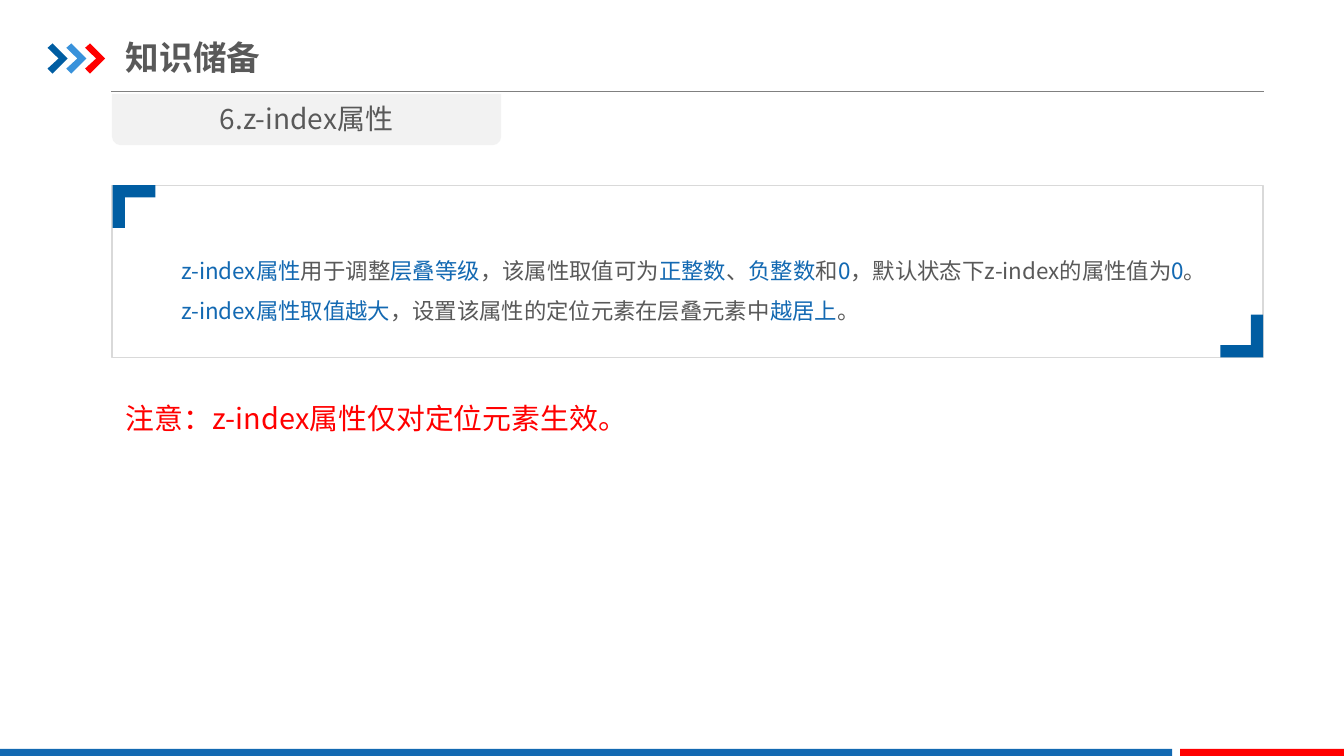
import pptx
import pptx.dml.color
import pptx.enum.shapes
import pptx.enum.text
import pptx.oxml.ns
import pptx.util
from lxml import etree

Pt = pptx.util.Pt
SHAPES = pptx.enum.shapes.MSO_SHAPE
ALIGN = pptx.enum.text.PP_ALIGN
ANCHOR = pptx.enum.text.MSO_ANCHOR
FONT = "Noto Sans CJK SC"
NAVY, BLUE, SKY, RED = "005DA2", "1369B2", "3992DB", "FF0000"
GREY, RULE_GREY, FRAME_GREY, TAB_GREY = "595959", "808080", "D9D9D9", "F2F2F2"

CHEVRON = [(0, 3.2), (3.6, 0), (14.4, 10.8), (3.6, 21.6), (0, 18), (7.9, 10.8)]
CORNER = [(0, 0), (30.5, 0), (30.5, 8.7), (8.7, 8.7), (8.7, 30.5), (0, 30.5)]

EXPLANATION = [
    ("z-index属性", BLUE), ("用于调整", GREY), ("层叠等级", BLUE),
    ("，该属性取值可为", GREY), ("正整数", BLUE), ("、", GREY),
    ("负整数", BLUE), ("和", GREY), ("0", BLUE),
    ("，默认状态下z-index的属性值为", GREY), ("0", BLUE), ("。", GREY),
    ("z-index属性取值越大", BLUE),
    ("，设置该属性的定位元素在层叠元素中", GREY), ("越居上", BLUE), ("。", GREY),
]


def color(hex_string):
    """Turn a hex string into a colour."""
    return pptx.dml.color.RGBColor.from_string(hex_string)


def paint(shape, fill=None, line=None):
    """Set the fill and outline of a shape and drop its shadow."""
    shape.shadow.inherit = False
    if fill:
        shape.fill.solid()
        shape.fill.fore_color.rgb = color(fill)
    else:
        shape.fill.background()
    if line:
        shape.line.color.rgb = color(line)
        shape.line.width = Pt(1)
    else:
        shape.line.fill.background()


def add_block(slide, kind, left, top, width, height, fill=None, line=None):
    """Add a painted preset shape."""
    block = slide.shapes.add_shape(kind, Pt(left), Pt(top), Pt(width), Pt(height))
    paint(block, fill, line)
    return block


def add_outline(slide, left, top, points, fill):
    """Add a filled polygon whose points are relative to left and top."""
    corners = [(Pt(left + x), Pt(top + y)) for x, y in points]
    builder = slide.shapes.build_freeform(*corners[0])
    builder.add_line_segments(corners[1:])
    paint(builder.convert_to_shape(), fill)


def add_text(slide, left, top, width, height, pieces, size, bold=False,
             align=ALIGN.LEFT, anchor=ANCHOR.TOP, spacing=None, margins=(0, 0)):
    """Add one paragraph made of (wording, colour) pieces."""
    box = slide.shapes.add_textbox(Pt(left), Pt(top), Pt(width), Pt(height))
    frame = box.text_frame
    frame.word_wrap = True
    frame.vertical_anchor = anchor
    frame.margin_left = frame.margin_right = Pt(margins[0])
    frame.margin_top = frame.margin_bottom = Pt(margins[1])
    paragraph = frame.paragraphs[0]
    paragraph.alignment = align
    if spacing:
        paragraph.line_spacing = spacing
    for wording, shade in pieces:
        run = paragraph.add_run()
        run.text = wording
        run.font.size = Pt(size)
        run.font.bold = bold
        run.font.color.rgb = color(shade)
        run.font.name = FONT
        east_asian = etree.SubElement(run.font._element, pptx.oxml.ns.qn("a:ea"))
        east_asian.set("typeface", FONT)


def add_header(slide, left, top, width, title):
    """Draw the chevrons, the slide title and the rule below it."""
    for index, shade in enumerate((NAVY, SKY, RED)):
        add_outline(slide, left + 13.4 * index, top + 10, CHEVRON, shade)
    add_text(slide, left + 56, top, 306.7, 39.6, [(title, GREY)], 24, bold=True,
             anchor=ANCHOR.MIDDLE, margins=(0, 5))
    rule = slide.shapes.add_connector(
        pptx.enum.shapes.MSO_CONNECTOR.STRAIGHT,
        Pt(left + 45.2), Pt(top + 44.5), Pt(left + width), Pt(top + 44.5))
    rule.line.color.rgb = color(RULE_GREY)
    rule.line.width = Pt(0.75)
    etree.SubElement(rule._element.spPr, pptx.oxml.ns.qn("a:effectLst"))


def add_topic_tab(slide, left, top, width, height, topic):
    """Draw the grey tab that hangs below the rule."""
    tab = add_block(slide, SHAPES.ROUND_2_SAME_RECTANGLE, left, top, width, height,
                    TAB_GREY)
    tab.rotation = 180
    add_text(slide, left, top + 2.1, width, height - 5, [(topic, GREY)], 20,
             align=ALIGN.CENTER, margins=(7.2, 3.6))


def add_explanation(slide, left, top, width, height, pieces):
    """Draw the framed explanation with its two corner marks."""
    add_block(slide, SHAPES.RECTANGLE, left, top, width, height, line=FRAME_GREY)
    add_text(slide, left + 49.5, top + 41.8, 732.2, 58.3, pieces, 16,
             align=ALIGN.JUSTIFY, spacing=1.5)
    add_outline(slide, left + 0.5, top, CORNER, NAVY)
    turned = [(-x, -y) for x, y in CORNER]
    add_outline(slide, left + width, top + height, turned, NAVY)


def add_footer(slide, left, top, width, height):
    """Draw the blue and red bars along the bottom edge."""
    red_width = 117
    add_block(slide, SHAPES.RECTANGLE, left, top, width - red_width - 5.7, height, BLUE)
    add_block(slide, SHAPES.RECTANGLE, left + width - red_width, top, red_width,
              height, RED)


def main():
    """Build the slide and save it."""
    deck = pptx.Presentation()
    deck.slide_width, deck.slide_height = Pt(960), Pt(540)
    slide = deck.slides.add_slide(deck.slide_layouts[6])
    add_header(slide, 34, 21, 869, "知识储备")
    add_footer(slide, 0, 535, 960, 5)
    add_topic_tab(slide, 80, 67, 278, 36.7, "6.z-index属性")
    add_explanation(slide, 80, 132.3, 822.3, 123, EXPLANATION)
    add_text(slide, 90, 273.6, 791.3, 51.1,
             [("注意：z-index属性仅对定位元素生效。", RED)], 20.6, spacing=1.5)
    deck.save("out.pptx")


if __name__ == "__main__":
    main()
